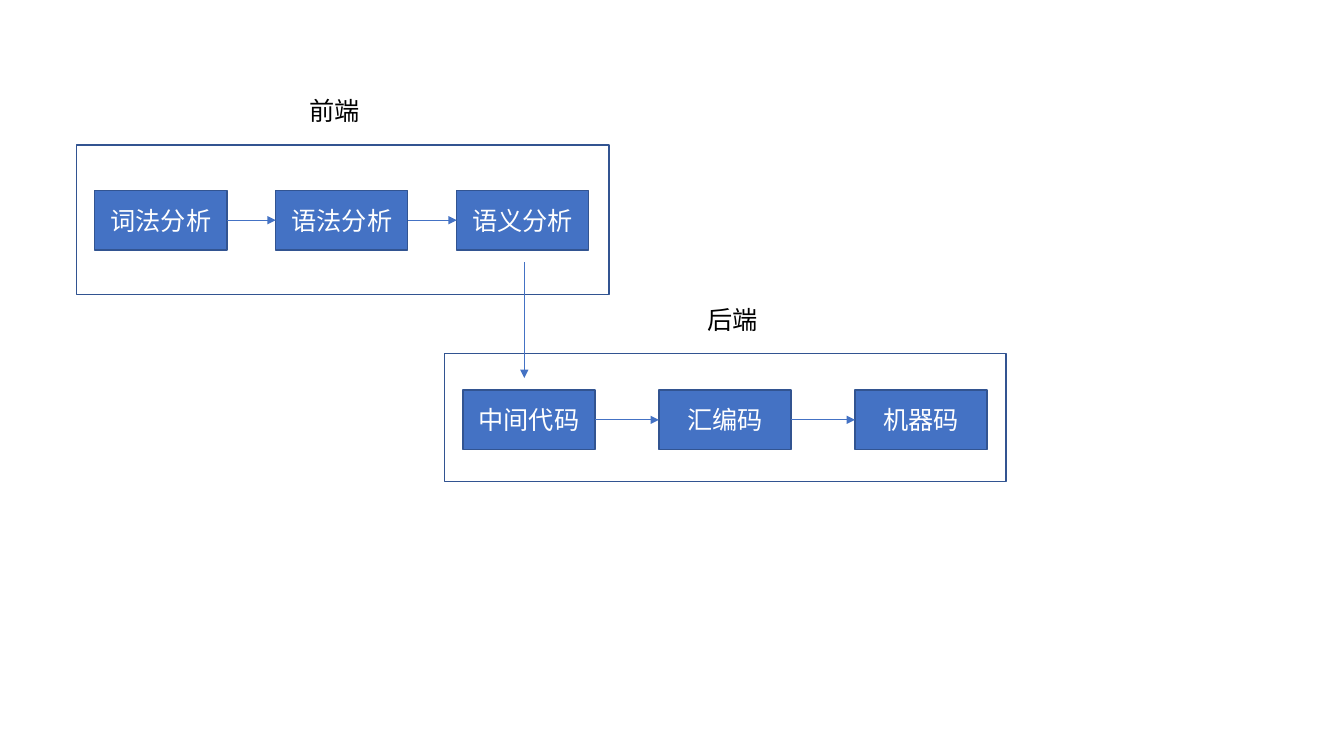
import pptx
import pptx.util
import pptx.dml.color
import pptx.enum.shapes
import pptx.enum.text
import pptx.oxml.ns
from lxml import etree

# Content: each stage has a title, its place, a frame and a row of steps
STAGES = [
    dict(title="前端", title_at=(2.97, 0.9), frame=(0.76, 1.44, 5.28, 1.48),
         first=(0.94, 1.89), pitch=1.795, steps=["词法分析", "语法分析", "语义分析"]),
    dict(title="后端", title_at=(6.92, 2.97), frame=(4.41, 3.51, 5.57, 1.27),
         first=(4.59, 3.87), pitch=1.945, steps=["中间代码", "汇编码", "机器码"]),
]
HANDOVER = (5.2, 2.6, 5.2, 3.75)
STEP_W, STEP_H = 1.31, 0.59
TITLE_W, TITLE_H = 1.08, 0.41
FONT, SIZE = "Noto Sans CJK SC", 18
BLUE, EDGE, WHITE, BLACK = "4472C4", "325491", "FFFFFF", "000000"

prs = pptx.Presentation()
prs.slide_width = pptx.util.Inches(13.33)
prs.slide_height = pptx.util.Inches(7.5)
s = prs.slides.add_slide(prs.slide_layouts[6])


def inches(*values):
    return [pptx.util.Inches(v) for v in values]


def color(value):
    return pptx.dml.color.RGBColor.from_string(value)


def add_child(parent, tag, **attributes):
    return etree.SubElement(parent, pptx.oxml.ns.qn(tag), **attributes)


def write(tf, text, ink):
    r = tf.paragraphs[0].add_run()
    r.text = text
    r.font.size = pptx.util.Pt(SIZE)
    r.font.name = FONT
    r.font.color.rgb = color(ink)
    add_child(r.font._element, "a:ea", typeface=FONT)


def box(at, fill=None):
    sp = s.shapes.add_shape(pptx.enum.shapes.MSO_SHAPE.RECTANGLE, *inches(*at))
    sp.shadow.inherit = False
    if fill:
        sp.fill.solid()
        sp.fill.fore_color.rgb = color(fill)
    else:
        sp.fill.background()
    sp.line.color.rgb = color(EDGE)
    sp.line.width = pptx.util.Pt(1)
    return sp


def step(x, y, text):
    tf = box((x, y, STEP_W, STEP_H), BLUE).text_frame
    tf.vertical_anchor = pptx.enum.text.MSO_ANCHOR.MIDDLE
    tf.paragraphs[0].alignment = pptx.enum.text.PP_ALIGN.CENTER
    write(tf, text, WHITE)


def title(x, y, text):
    tf = s.shapes.add_textbox(*inches(x, y, TITLE_W, TITLE_H)).text_frame
    tf.word_wrap = True
    tf.auto_size = pptx.enum.text.MSO_AUTO_SIZE.SHAPE_TO_FIT_TEXT
    write(tf, text, BLACK)


def arrow(x1, y1, x2, y2):
    straight = pptx.enum.shapes.MSO_CONNECTOR.STRAIGHT
    c = s.shapes.add_connector(straight, *inches(x1, y1, x2, y2))
    c.line.color.rgb = color(BLUE)
    c.line.width = pptx.util.Pt(0.5)
    add_child(c.line._get_or_add_ln(), "a:tailEnd", type="triangle")
    add_child(c._element.spPr, "a:effectLst")


# Stages: frame, title, steps and the arrows between them
for stage in STAGES:
    box(stage["frame"])
    title(*stage["title_at"], stage["title"])
    left, top = stage["first"]
    for i, text in enumerate(stage["steps"]):
        x = left + i * stage["pitch"]
        step(x, top, text)
        if i:
            middle = top + STEP_H / 2
            arrow(x - stage["pitch"] + STEP_W, middle, x, middle)

# Arrow from the front end to the back end
arrow(*HANDOVER)

prs.save("out.pptx")
